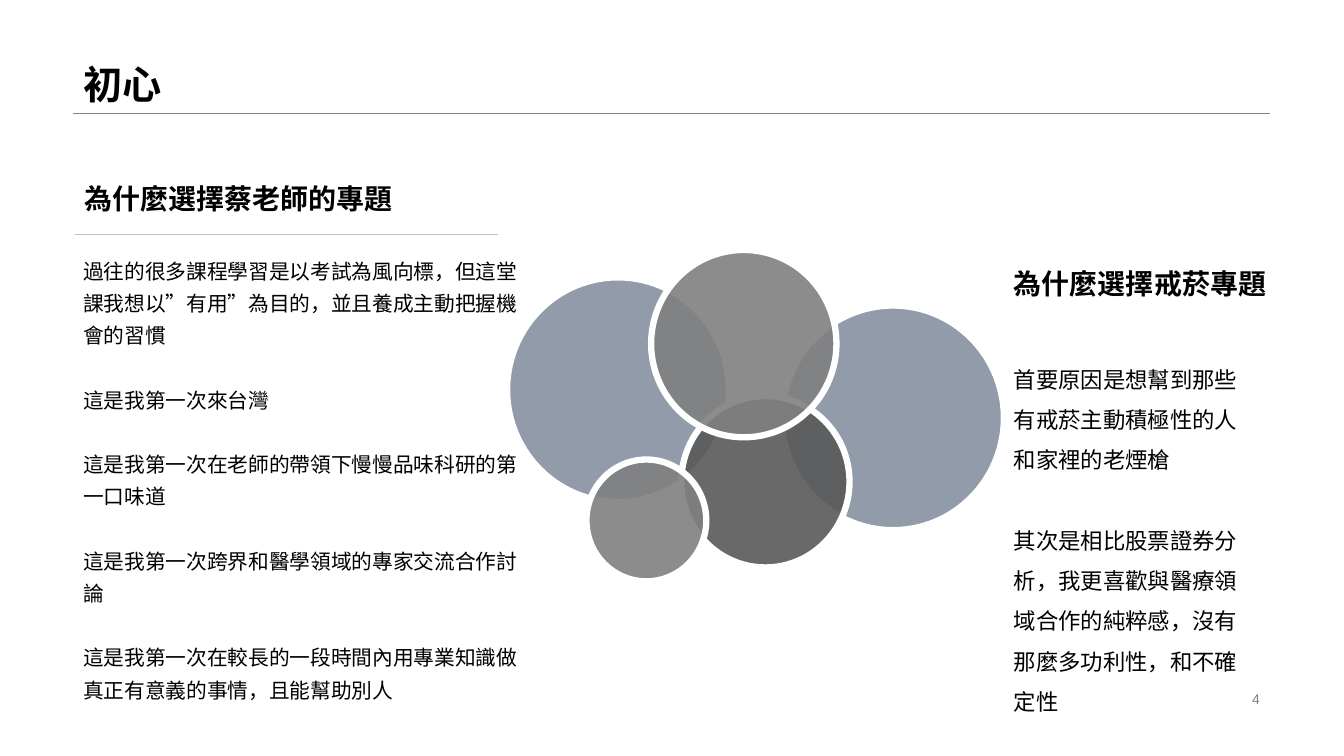
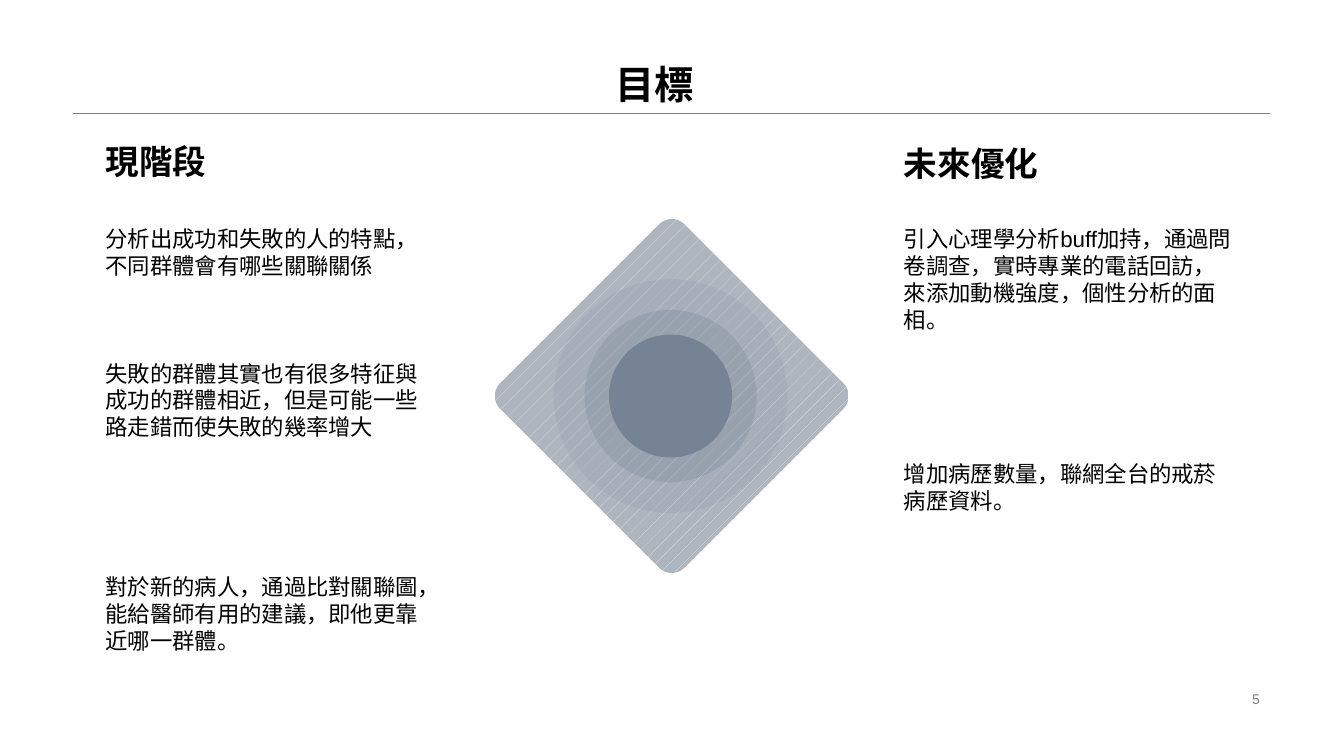
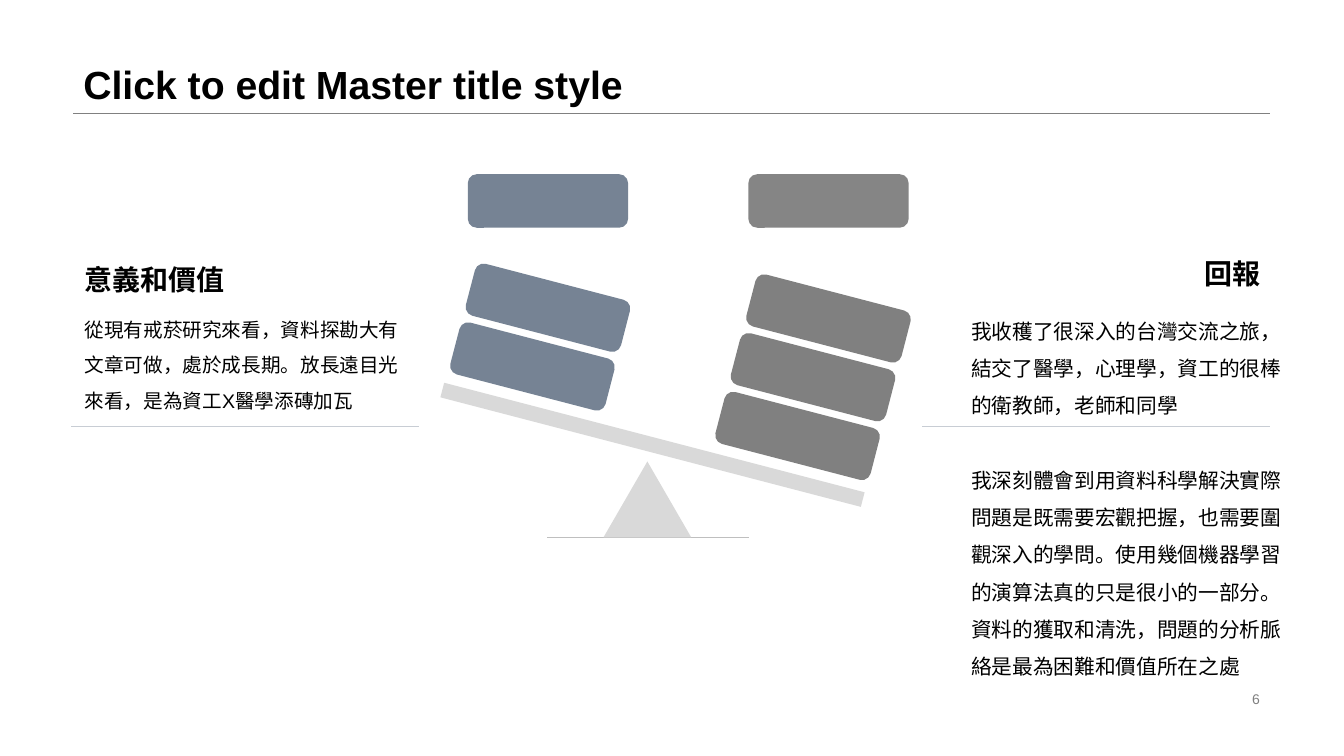
"""Build three slides on motives, goals and rewards of a quit-smoking project."""
import math
import pptx
import pptx.util
import pptx.dml.color
import pptx.enum.dml
import pptx.enum.shapes
import pptx.enum.text
import pptx.oxml.ns
import lxml.etree

Cm, Pt = pptx.util.Cm, pptx.util.Pt
RGB = pptx.dml.color.RGBColor.from_string
KIND = pptx.enum.shapes.MSO_SHAPE
SIDE = pptx.enum.text.PP_ALIGN
EDGE = pptx.enum.text.MSO_ANCHOR
qn = pptx.oxml.ns.qn
HUE = {"ink": "000000", "white": "FFFFFF", "slate": "768394", "gray": "808080",
       "dark": "595959", "block": "858585", "pale": "D9D9D9", "rule": "BFBFBF",
       "mist": "C8CDD4", "hatch": "E4E6EA", "steel": "ADB5BF"}
NOTO = "Noto Sans CJK SC"


def write(slide, x, y, w, h, texts, size, bold=False, font="Arial", hue="ink",
          side=SIDE.LEFT, edge=EDGE.TOP, pitch=1.0, gap=0):
    """Add a text box with one paragraph for each text."""
    frame = slide.shapes.add_textbox(Cm(x), Cm(y), Cm(w), Cm(h)).text_frame
    frame.word_wrap = True
    frame.vertical_anchor = edge
    for i, text in enumerate(texts):
        para = frame.add_paragraph() if i else frame.paragraphs[0]
        para.text = text
        para.alignment = side
        para.line_spacing = pitch
        para.space_before = Pt(gap if i else 0)
        para.font.size = Pt(size)
        para.font.bold = bold
        para.font.name = font
        para.font.color.rgb = RGB(HUE[hue])


def draw(slide, kind, x, y, w, h, hue, alpha=100, edge=0, turn=0):
    """Add a plain filled shape."""
    shape = slide.shapes.add_shape(kind, Cm(x), Cm(y), Cm(w), Cm(h))
    shape.shadow.inherit = False
    shape.rotation = turn
    shape.fill.solid()
    shape.fill.fore_color.rgb = RGB(HUE[hue])
    if alpha < 100:
        tint = shape.element.spPr.find(".//" + qn("a:srgbClr"))
        lxml.etree.SubElement(tint, qn("a:alpha")).set("val", str(alpha * 1000))
    if edge:
        shape.line.color.rgb = RGB(HUE["white"])
        shape.line.width = Pt(edge)
    else:
        shape.line.fill.background()


deck = pptx.Presentation()
deck.slide_width, deck.slide_height = Cm(33.87), Cm(19.05)

pages = [
    ("初心", 0.25, [(1.88, 12.55, 5.89, "rule", 0.25)]),
    ("目標", 13.65, []),
    ("Click to edit Master title style", 0.25,
     [(13.79, 18.87, 13.54, "rule", 0.5), (1.8, 10.57, 10.74, "mist", 0.25),
      (23.24, 32, 10.74, "mist", 0.25)]),
]
for num, (name, inset, rules) in enumerate(pages, 4):
    slide = deck.slides.add_slide(deck.slide_layouts[5])
    title = slide.shapes.title
    title.left, title.top, title.width, title.height = Cm(1.85), Cm(0), Cm(30.15), Cm(2.84)
    frame = title.text_frame
    frame.text = name
    frame.vertical_anchor = EDGE.BOTTOM
    frame.margin_left = Cm(inset)
    para = frame.paragraphs[0]
    para.alignment = SIDE.LEFT
    para.line_spacing = 0.9
    para.font.name = "Arial"
    para.font.size = Pt(28)
    para.font.bold = True
    para.font.color.rgb = RGB(HUE["ink"])
    for x, end, y, hue, width in [(1.85, 32, 2.84, "gray", 0.25)] + rules:
        line = slide.shapes.add_connector(
            pptx.enum.shapes.MSO_CONNECTOR.STRAIGHT, Cm(x), Cm(y), Cm(end), Cm(y))
        line.line.color.rgb = RGB(HUE[hue])
        line.line.width = Pt(width)
        lxml.etree.SubElement(line.element.spPr, qn("a:effectLst"))
    write(slide, 23.93, 17.32, 8.07, 0.58, [str(num)], 10, hue="gray",
          side=SIDE.RIGHT, edge=EDGE.MIDDLE)

start, goal, gain = deck.slides

for x, y, w, h, hue, alpha in [
        (12.78, 6.99, 5.59, 5.66, "slate", 80), (19.71, 7.7, 5.59, 5.66, "slate", 80),
        (17.17, 9.98, 4.24, 4.32, "dark", 90), (16.41, 6.3, 4.67, 4.72, "gray", 90),
        (14.78, 11.58, 3.02, 3.07, "gray", 90)]:
    draw(start, KIND.OVAL, x, y, w, h, hue, alpha, 4.5)
write(start, 1.88, 3.15, 10.67, 2.39, ["為什麼選擇蔡老師的專題"], 20, True, edge=EDGE.BOTTOM)
write(start, 1.85, 6.2, 11.46, 11.89, [
    "過往的很多課程學習是以考試為風向標，但這堂課我想以”有用”為目的，並且養成主動把握機會的習慣",
    "這是我第一次來台灣",
    "這是我第一次在老師的帶領下慢慢品味科研的第一口味道",
    "這是我第一次跨界和醫學領域的專家交流合作討論",
    "這是我第一次在較長的一段時間內用專業知識做真正有意義的事情，且能幫助別人",
], 14.8, font=NOTO, pitch=1.3, gap=23)
write(start, 25.3, 6.58, 7.2, 1.09, ["為什麼選擇戒菸專題"], 20, True)
write(start, 25.3, 8.76, 6.68, 9.68, [
    "首要原因是想幫到那些有戒菸主動積極性的人和家裡的老煙槍",
    "其次是相比股票證券分析，我更喜歡與醫療領域合作的純粹感，沒有那麼多功利性，和不確定性",
], 16, font=NOTO, pitch=1.5, gap=28.7)

mid, high, reach, bend = 16.93, 9.98, 4.01, 0.45
dots = []
for turn in range(0, 360, 90):
    way = math.radians(turn)
    for step in range(-45, 46, 9):
        arc = math.radians(turn + step)
        dots.append((Cm(mid + reach * math.cos(way) + bend * math.cos(arc)),
                     Cm(high + reach * math.sin(way) + bend * math.sin(arc))))
form = goal.shapes.build_freeform(*dots[0])
form.add_line_segments(dots[1:])
gem = form.convert_to_shape()
gem.shadow.inherit = False
gem.fill.patterned()
gem.fill.pattern = pptx.enum.dml.MSO_PATTERN.PERCENT_5
gem.fill.fore_color.rgb = RGB(HUE["hatch"])
gem.fill.back_color.rgb = RGB(HUE["steel"])
gem.line.fill.background()
for size, alpha in [(5.89, 12), (4.34, 28), (3.1, 100)]:
    draw(goal, KIND.OVAL, 16.9 - size / 2, high - size / 2, size, size, "slate", alpha)
for x, y, head, notes in [
        (2.41, 3.43, "現階段", [
            (5.54, "分析出成功和失敗的人的特點，不同群體會有哪些關聯關係"),
            (8.94, "失敗的群體其實也有很多特征與成功的群體相近，但是可能一些路走錯而使失敗的幾率增大"),
            (14.33, "對於新的病人，通過比對關聯圖，能給醫師有用的建議，即他更靠近哪一群體。")]),
        (22.53, 3.48, "未來優化", [
            (5.56, "引入心理學分析buff加持，通過問卷調查，實時專業的電話回訪，來添加動機強度，個性分析的面相。"),
            (11.48, "增加病歷數量，聯網全台的戒菸病歷資料。")])]:
    write(goal, x, y, 5.59, 1.27, [head], 24, True)
    for top, note in notes:
        write(goal, x, top, 8.92, 2.3, [note], 16)

tilt = 14.6
draw(gain, KIND.RECTANGLE, 10.97, 11.02, 10.95, 0.38, "pale", turn=tilt)
for x, y, count, hue, lid in [(11.4, 8.56, 2, "slate", "slate"),
                              (18.08, 10.31, 3, "gray", "block")]:
    for i in range(count):
        draw(gain, KIND.ROUNDED_RECTANGLE, x + 0.39 * i, y - 1.48 * i, 4.04, 1.35,
             hue, turn=tilt)
    draw(gain, KIND.ROUNDED_RECTANGLE, x + 0.39 * (count - 1), 4.39, 4.04, 1.35, lid)
draw(gain, KIND.ISOSCELES_TRIANGLE, 15.21, 11.63, 2.21, 1.91, "pale")
write(gain, 1.88, 6.5, 8.69, 1.09, ["意義和價值"], 20, True)
write(gain, 1.88, 7.59, 8.69, 8.66, [
    "從現有戒菸研究來看，資料探勘大有文章可做，處於成長期。放長遠目光來看，是為資工X醫學添磚加瓦",
], 14, pitch=1.5)
write(gain, 23.32, 6.35, 8.69, 1.09, ["回報"], 20, True, side=SIDE.RIGHT)
write(gain, 24.23, 7.59, 8.69, 10.36, [
    "我收穫了很深入的台灣交流之旅，結交了醫學，心理學，資工的很棒的衛教師，老師和同學",
    "我深刻體會到用資料科學解決實際問題是既需要宏觀把握，也需要圍觀深入的學問。"
    "使用幾個機器學習的演算法真的只是很小的一部分。"
    "資料的獲取和清洗，問題的分析脈絡是最為困難和價值所在之處",
], 14.8, pitch=1.5, gap=26.6)

deck.save("out.pptx")
